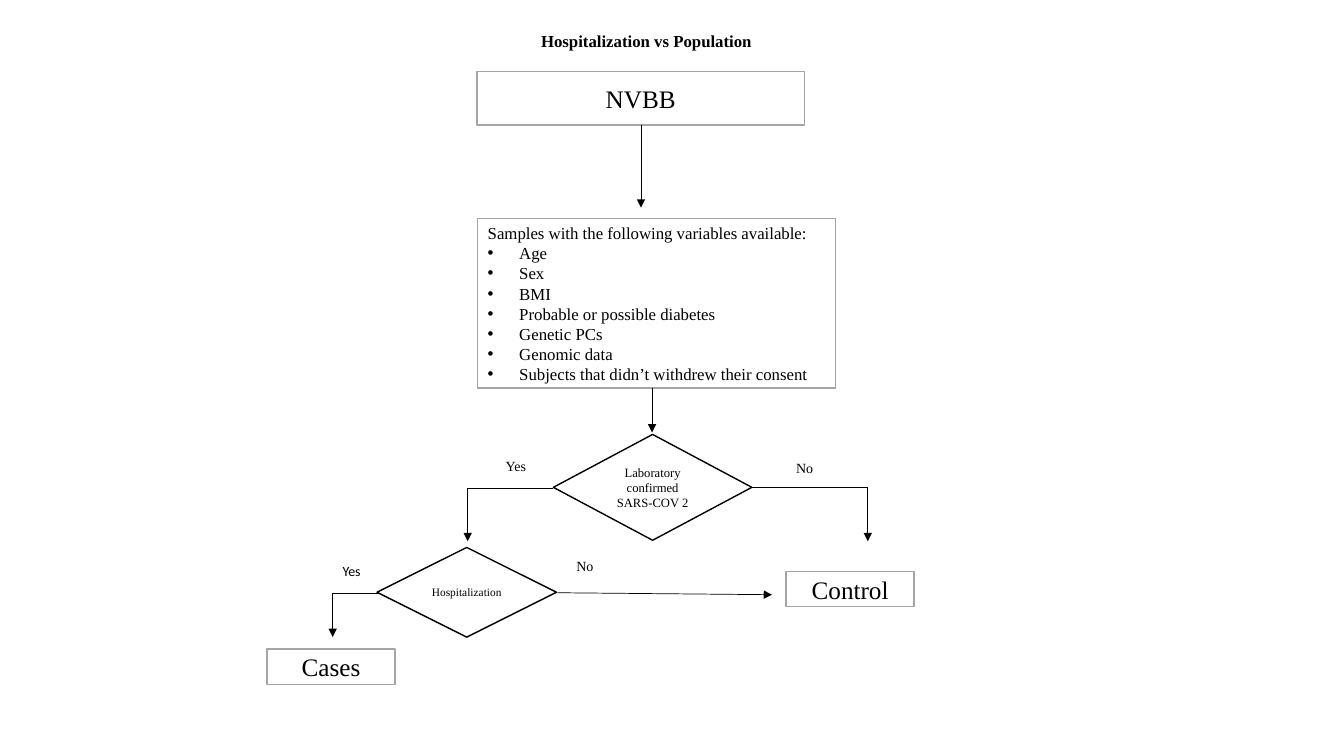
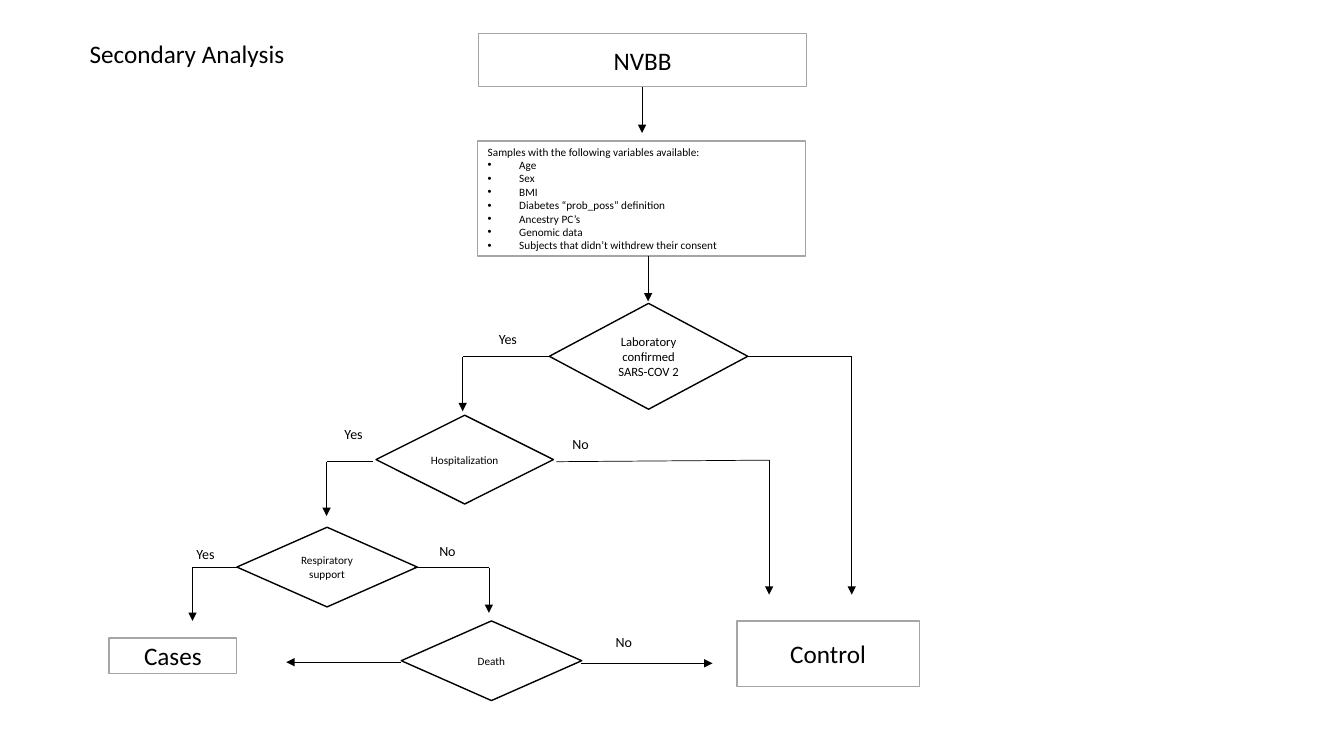
import pptx
import pptx.util
import pptx.dml.color
import pptx.enum.shapes
import pptx.enum.text
import pptx.oxml.ns
import lxml.etree

Pt = pptx.util.Pt
SHAPES = pptx.enum.shapes.MSO_SHAPE
ALIGN = pptx.enum.text.PP_ALIGN
SERIF, SANS = "Times New Roman", "Calibri"
COLORS = {"ink": "000000", "paper": "FFFFFF", "border": "A5A5A5"}
COHORT = "NVBB"
INTRO = "Samples with the following variables available:"
CONSENT = "Subjects that didn’t withdrew their consent"
LAB = "Laboratory confirmed SARS-COV 2"
LABEL_WIDTHS = {"Yes": 28.8, "No": 26.6}
LABEL_HEIGHT, LABEL_SIZE, BOX_SIZE = 19.4, 10, 18
BULLET_INDENT, DIAMOND_INSET = 22.5, 6.5

# Boxes are (left, top, width, height); routes are corner points ending in an arrowhead.
CHARTS = [
    {
        "font": SERIF,
        "title": ("Hospitalization vs Population", (379.4, 18.4, 167, 21.6), 12, True),
        "boxes": [
            (COHORT, (340.6, 51.1, 234, 38.2)),
            ("Cases", (190.8, 463.7, 91.4, 25.2)),
            ("Control", (561.6, 408.2, 91.4, 25.2)),
        ],
        "criteria": ((341.3, 156.2, 255.6, 121), 12,
                     ["Age", "Sex", "BMI", "Probable or possible diabetes",
                      "Genetic PCs", "Genomic data", CONSENT]),
        "decisions": [
            (LAB, (395.3, 310.3, 141.8, 75.6), 9),
            ("Hospitalization", (269.3, 391, 128.2, 64.1), 8.1),
        ],
        "routes": [
            [(457.9, 89.3), (457.9, 148.3)],
            [(465.8, 277.2), (465.8, 308.9)],
            [(537.1, 347.8), (619.9, 347.8), (619.9, 386.6)],
            [(395.3, 348.5), (334.1, 348.5), (334.1, 386.6)],
            [(270.7, 423.7), (237.6, 423.7), (237.6, 455)],
            [(398.2, 423.4), (551.5, 424.8)],
        ],
        "labels": [
            ("Yes", 354.2, 323.3, SERIF),
            ("No", 561.6, 324.7, SERIF),
            ("Yes", 237.6, 398.2, SANS),
            ("No", 404.6, 394.6, SERIF),
        ],
    },
    {
        "font": SANS,
        "title": ("Secondary Analysis", (56.9, 23.8, 154.8, 28.8), 18, False),
        "boxes": [
            (COHORT, (342, 23.8, 234, 38.2)),
            ("Cases", (77.8, 455.8, 91.4, 25.2)),
            ("Control", (526.3, 443.5, 130.3, 46.8)),
        ],
        "criteria": ((341.3, 100.8, 234, 82.1), 8,
                     ["Age", "Sex", "BMI", "Diabetes “prob_poss” definition",
                      "Ancestry PC’s", "Genomic data", CONSENT]),
        "decisions": [
            (LAB, (392.4, 216.7, 141.8, 75.6), 9),
            ("Hospitalization", (268.6, 296.6, 126.7, 63.4), 8),
            ("Respiratory support", (169.2, 376.6, 128.9, 56.9), 8),
            ("Death", (286.6, 443.5, 128.9, 56.9), 8),
        ],
        "routes": [
            [(458.6, 61.9), (458.6, 95)],
            [(463, 182.9), (463, 215.3)],
            [(392.4, 254.9), (330.5, 254.9), (330.5, 293.8)],
            [(534.2, 254.9), (608.4, 254.9), (608.4, 424.8)],
            [(266.4, 329.8), (233.3, 329.8), (233.3, 368.6)],
            [(397.4, 329.8), (549.4, 328.7), (549.4, 424.8)],
            [(170.6, 405.4), (137.5, 405.4), (137.5, 443.5)],
            [(295.9, 405.4), (349.2, 405.4), (349.2, 437.8)],
            [(286.6, 473), (204.5, 473)],
            [(414.7, 473.8), (509, 473.8)],
        ],
        "labels": [
            ("Yes", 349.2, 232.6, SANS),
            ("Yes", 239, 300.2, SANS),
            ("No", 401.8, 307.4, SANS),
            ("Yes", 133.2, 385.9, SANS),
            ("No", 306.7, 383.8, SANS),
            ("No", 432.7, 449.3, SANS),
        ],
    },
]


def color(key):
    """Return the named colour."""
    return pptx.dml.color.RGBColor.from_string(COLORS[key])


def add_xml(parent, tag, **attributes):
    """Append a drawing element to parent."""
    return lxml.etree.SubElement(parent, pptx.oxml.ns.qn(tag), attributes)


def write(frame, lines, size, font, align, bold=False):
    """Write one paragraph per line in one style."""
    frame.text = "\n".join(lines)
    for paragraph in frame.paragraphs:
        paragraph.alignment = align
        paragraph.font.size = Pt(size)
        paragraph.font.name = font
        paragraph.font.bold = bold
        paragraph.font.color.rgb = color("ink")


def add_block(slide, kind, area, border, lines, size, font, align=ALIGN.CENTER):
    """Draw an outlined shape with text and return its text frame."""
    block = slide.shapes.add_shape(kind, *map(Pt, area))
    block.shadow.inherit = False
    block.fill.solid()
    block.fill.fore_color.rgb = color("paper")
    block.line.color.rgb = color(border)
    block.line.width = Pt(1)
    frame = block.text_frame
    frame.word_wrap = True
    frame.vertical_anchor = pptx.enum.text.MSO_ANCHOR.MIDDLE
    write(frame, lines, size, font, align)
    return frame


def add_criteria(slide, area, size, variables, font):
    """Draw the sample criteria, with a bullet on each variable."""
    frame = add_block(slide, SHAPES.RECTANGLE, area, "border",
                      [INTRO, *variables], size, font, ALIGN.LEFT)
    for paragraph in frame.paragraphs[1:]:
        properties = paragraph._p.get_or_add_pPr()
        properties.set("marL", str(Pt(BULLET_INDENT)))
        properties.set("indent", str(-Pt(BULLET_INDENT)))
        add_xml(properties, "a:buFont", typeface="Arial")
        add_xml(properties, "a:buChar", char="•")
        # The schema wants the default run properties after the bullet.
        properties.append(properties.find(pptx.oxml.ns.qn("a:defRPr")))


def add_route(slide, points):
    """Join the points with lines and put an arrowhead on the last one."""
    for start, end in zip(points, points[1:]):
        leg = slide.shapes.add_connector(
            pptx.enum.shapes.MSO_CONNECTOR.STRAIGHT, *map(Pt, start + end))
        leg.line.color.rgb = color("ink")
        leg.line.width = Pt(0.5)
        if end == points[-1]:
            add_xml(leg.line._get_or_add_ln(), "a:tailEnd", type="triangle")
        add_xml(leg._element.spPr, "a:effectLst")


def add_label(slide, text, area, size, font, bold=False):
    """Add one line of free text."""
    frame = slide.shapes.add_textbox(*map(Pt, area)).text_frame
    frame.word_wrap = False
    frame.auto_size = pptx.enum.text.MSO_AUTO_SIZE.SHAPE_TO_FIT_TEXT
    write(frame, [text], size, font, ALIGN.LEFT, bold)


def add_flowchart(deck, chart):
    """Add a slide with one selection flowchart."""
    slide = deck.slides.add_slide(deck.slide_layouts[6])
    font = chart["font"]
    title, title_area, title_size, bold = chart["title"]
    add_label(slide, title, title_area, title_size, font, bold)
    for text, area in chart["boxes"]:
        add_block(slide, SHAPES.RECTANGLE, area, "border", [text], BOX_SIZE, font)
    add_criteria(slide, *chart["criteria"], font)
    for text, area, size in chart["decisions"]:
        frame = add_block(slide, SHAPES.DIAMOND, area, "ink", [text], size, font)
        frame.margin_left = frame.margin_right = Pt(DIAMOND_INSET)
    for points in chart["routes"]:
        add_route(slide, points)
    for text, left, top, label_font in chart["labels"]:
        area = (left, top, LABEL_WIDTHS[text], LABEL_HEIGHT)
        add_label(slide, text, area, LABEL_SIZE, label_font)


deck = pptx.Presentation()
deck.slide_width, deck.slide_height = Pt(960), Pt(540)
for chart in CHARTS:
    add_flowchart(deck, chart)
deck.save("out.pptx")
